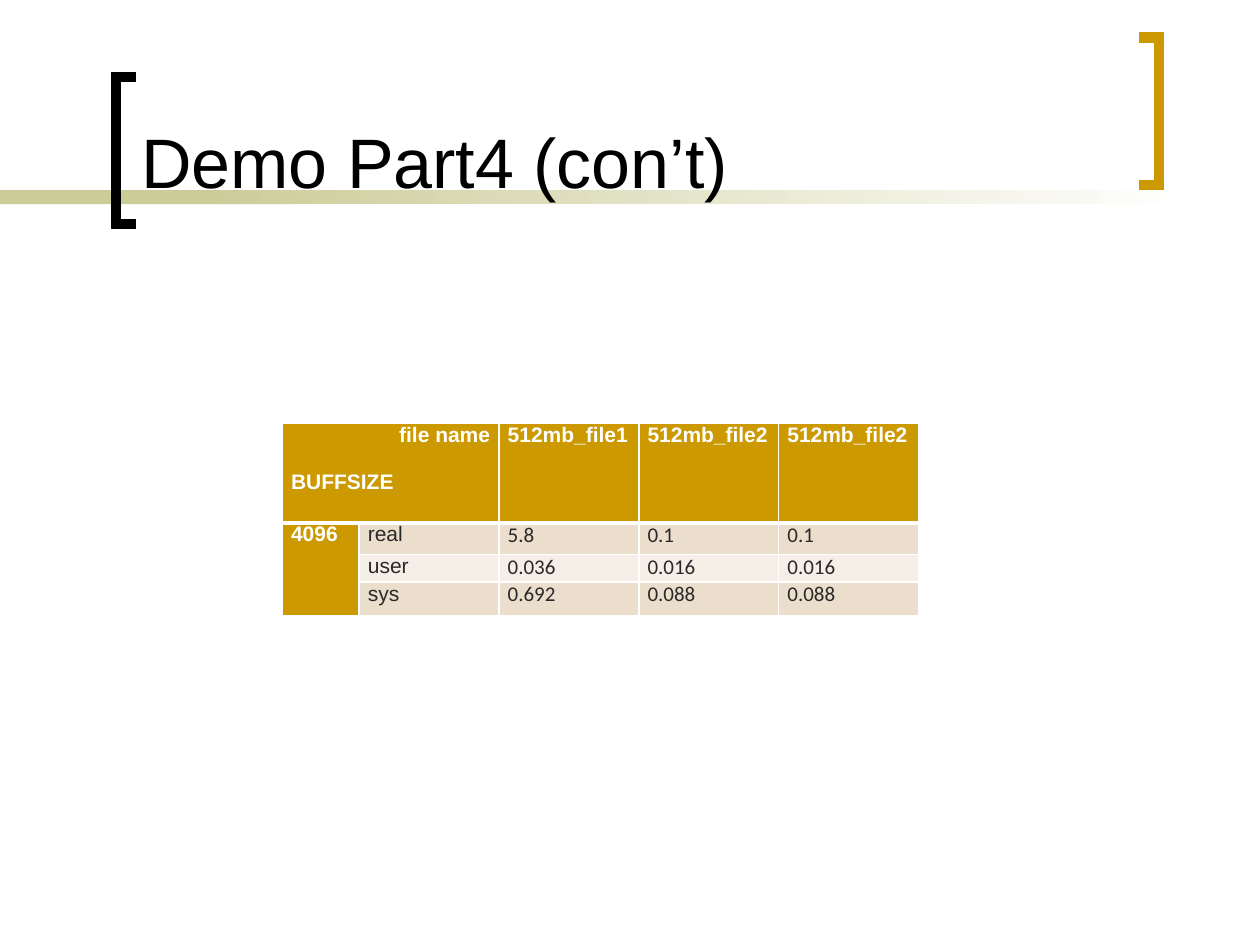
from dataclasses import dataclass

from lxml import etree
from pptx import Presentation, util as u
from pptx.dml.color import RGBColor
from pptx.enum import shapes, text
from pptx.oxml import ns

Inches, Pt = u.Inches, u.Pt


@dataclass(frozen=True)
class Theme:
    """Colours, fonts and sizes in points."""
    black: str = "000000"
    white: str = "FFFFFF"
    gold: str = "CC9900"
    olive: str = "CCCC99"
    ink: str = "292929"
    bands: tuple = ("ECDECC", "F6EFE7")
    font: str = "Arial"
    number_font: str = "Calibri"
    title_size: int = 40
    table_size: int = 12
    bracket_width: int = 6


THEME = Theme()
HEADINGS = ("512mb_file1", "512mb_file2", "512mb_file2")
TIMINGS = (
    ("real", "5.8", "0.1", "0.1"),
    ("user", "0.036", "0.016", "0.016"),
    ("sys", "0.692", "0.088", "0.088"),
)


def colour(value):
    """Turn a hex string into a colour."""
    return RGBColor.from_string(value)


def set_font(paragraph, name, size, value, bold=False):
    """Format one paragraph."""
    font = paragraph.font
    font.name, font.size, font.bold = name, Pt(size), bold
    font.color.rgb = colour(value)


def add_strip(slide, left, top, width, height, end=None):
    """Draw an olive strip, fading to the end colour if one is given."""
    strip = slide.shapes.add_shape(
        shapes.MSO_SHAPE.RECTANGLE,
        Inches(left), Inches(top), Inches(width), Inches(height))
    strip.shadow.inherit = False
    strip.line.fill.background()
    if end is None:
        strip.fill.solid()
        strip.fill.fore_color.rgb = colour(THEME.olive)
        return
    strip.fill.gradient()
    strip.fill.gradient_angle = 0
    for stop, value in zip(strip.fill.gradient_stops, (THEME.olive, end)):
        stop.color.rgb = colour(value)


def add_bracket(slide, spine, tip, top, height, value):
    """Draw a square bracket whose arms run from the spine to the tip."""
    bottom = top + height
    builder = slide.shapes.build_freeform(Inches(tip), Inches(top))
    points = ((spine, top), (spine, bottom), (tip, bottom))
    builder.add_line_segments(
        [(Inches(x), Inches(y)) for x, y in points], close=False)
    bracket = builder.convert_to_shape()
    bracket.shadow.inherit = False
    bracket.fill.background()
    bracket.line.color.rgb = colour(value)
    bracket.line.width = Pt(THEME.bracket_width)
    etree.SubElement(bracket.line._ln, ns.qn("a:miter"), lim="800000")


def add_decoration(slide):
    """Draw the strip and the two brackets around the title."""
    add_strip(slide, 0, 1.51, 2.33, 0.11)
    add_strip(slide, 1.58, 1.51, 7.92, 0.11, THEME.white)
    add_bracket(slide, 0.92, 1.08, 0.61, 1.17, THEME.black)
    add_bracket(slide, 9.2, 9.04, 0.3, 1.17, THEME.gold)


def place_title(slide, left, top, width, height, wording):
    """Fill the title placeholder and bring it to the front."""
    title = slide.shapes.title
    title.left, title.top = Inches(left), Inches(top)
    title.width, title.height = Inches(width), Inches(height)
    frame = title.text_frame
    frame.text = wording
    frame.word_wrap = True
    frame.auto_size = text.MSO_AUTO_SIZE.NONE
    frame.vertical_anchor = text.MSO_ANCHOR.BOTTOM
    paragraph = frame.paragraphs[0]
    paragraph.alignment = text.PP_ALIGN.LEFT
    set_font(paragraph, THEME.font, THEME.title_size, THEME.black)
    slide.shapes._spTree.append(title._element)


def set_borders(cell, bottom):
    """Give a cell white borders, with the bottom width in points."""
    properties = cell._tc.get_or_add_tcPr()
    widths = {"lnL": 1, "lnR": 1, "lnT": 1, "lnB": bottom}
    for index, (tag, width) in enumerate(widths.items()):
        line = etree.Element(ns.qn(f"a:{tag}"), w=str(Pt(width)))
        fill = etree.SubElement(line, ns.qn("a:solidFill"))
        etree.SubElement(fill, ns.qn("a:srgbClr"), val=THEME.white)
        properties.insert(index, line)


def format_cell(cell, row, column):
    """Style a cell by its place in the table."""
    heading = row == 0 or column == 0
    cell.margin_left = cell.margin_right = Inches(0.07)
    cell.margin_top = cell.margin_bottom = 0
    cell.fill.solid()
    cell.fill.fore_color.rgb = colour(
        THEME.gold if heading else THEME.bands[(row - 1) % 2])
    set_borders(cell, 3 if row == 0 else 1)
    name = THEME.number_font if row > 0 and column > 1 else THEME.font
    for paragraph in cell.text_frame.paragraphs:
        set_font(paragraph, name, THEME.table_size,
                 THEME.white if heading else THEME.ink, heading)


def add_timings(slide, left, top, width, height):
    """Add the table of timings by file and buffer size."""
    column_widths = (0.61, 1.11, 1.11, 1.11, 1.11)
    row_heights = (0.79, 0.25, 0.22, 0.27)
    table = slide.shapes.add_table(
        len(row_heights), len(column_widths),
        Inches(left), Inches(top), Inches(width), Inches(height)).table
    for column, size in zip(table.columns, column_widths):
        column.width = Inches(size)
    for row, size in zip(table.rows, row_heights):
        row.height = Inches(size)

    rows = [("file name\nBUFFSIZE", "", *HEADINGS)]
    rows += [("" if index else "4096", *timing)
             for index, timing in enumerate(TIMINGS)]
    for row, values in enumerate(rows):
        for column, value in enumerate(values):
            cell = table.cell(row, column)
            cell.text = value
            format_cell(cell, row, column)
    corner = table.cell(0, 0)
    corner.merge(table.cell(0, 1))
    table.cell(1, 0).merge(table.cell(3, 0))
    file_name, buffer_size = corner.text_frame.paragraphs
    file_name.alignment = text.PP_ALIGN.RIGHT
    buffer_size.space_before = Pt(13.5)


def main():
    """Build and save the presentation."""
    presentation = Presentation()
    presentation.slide_width = Inches(10)
    presentation.slide_height = Inches(7.5)
    slide = presentation.slides.add_slide(presentation.slide_layouts[5])
    add_decoration(slide)
    place_title(slide, 1.02, 0.11, 7.83, 1.55, "Demo Part4 (con’t)")
    add_timings(slide, 2.24, 3.36, 5.05, 1.53)
    presentation.save("out.pptx")


if __name__ == "__main__":
    main()
